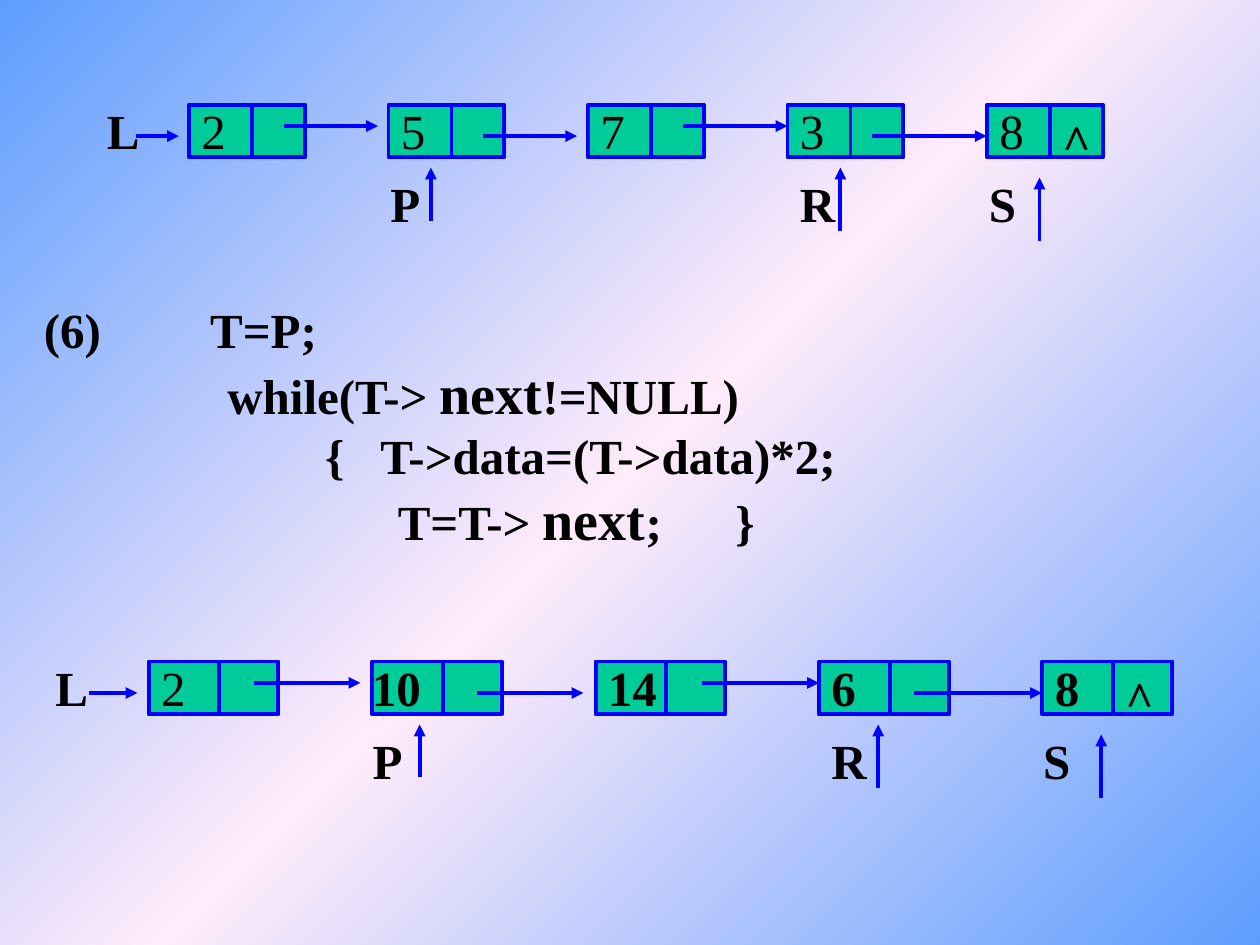
from copy import deepcopy

from lxml import etree
from pptx import Presentation
from pptx.dml.color import RGBColor
from pptx.enum import shapes, text
from pptx.oxml.ns import qn
from pptx.util import Inches, Pt

BLUE = RGBColor(0x00, 0x00, 0xFF)
GREEN = RGBColor(0x00, 0xCC, 0x99)
BLACK = RGBColor(0x00, 0x00, 0x00)
SKY = RGBColor(0x5E, 0x9E, 0xFF)
PINK = RGBColor(0xFF, 0xEB, 0xFA)

FONT = "Times New Roman"
NODE_PITCH = 4.75 / 3
FIRST_NODE = 1.5
NODE_WIDTH = 0.92
NODE_HEIGHT = 0.42
DATA_WIDTH = 0.5

CODE = [
    [("(6)\tT=P;", 28)],
    [("               while(T-> ", 28), ("next", 32), ("!=NULL)", 28)],
    [("                       {   T->data=(T->data)*2;", 28)],
    [("                             T=T-> ", 28), ("next", 32), (";      }", 28)],
]
LINKS = [
    (1.08, 1.42, 0.25),
    (2.25, 3, 0.17),
    (3.83, 4.58, 0.25),
    (5.42, 6.25, 0.17),
    (6.92, 7.83, 0.25),
]
POINTERS = [
    ("P", 3, 3.42, 0.5, 0.92),
    ("R", 6.25, 6.67, 0.5, 1),
    ("S", 7.75, 8.25, 0.58, 1.08),
]


def paint_background(page):
    fill = page.background.fill
    fill.gradient()
    fill.gradient_angle = 135
    stop_list = next(page.element.iter(qn("a:gsLst")))
    stop_list.insert(1, deepcopy(stop_list[0]))
    for stop, position, color in zip(fill.gradient_stops, (0, 0.5, 1), (SKY, PINK, SKY)):
        stop.position = position
        stop.color.rgb = color


def add_span(para, words, size=28, bold=True):
    span = para.add_run()
    span.text = words
    span.font.name = FONT
    span.font.size = Pt(size)
    span.font.bold = bold
    span.font.color.rgb = BLACK


def add_text_box(page, left, top, width, height):
    box = page.shapes.add_textbox(Inches(left), Inches(top), Inches(width), Inches(height))
    box.text_frame.word_wrap = True
    box.text_frame.auto_size = text.MSO_AUTO_SIZE.NONE
    return box.text_frame


def add_label(page, words, left, top, bold=True):
    frame = add_text_box(page, left, top, 0.75, 0.57)
    add_span(frame.paragraphs[0], words, bold=bold)


def add_line(page, start, end, arrow=False):
    line = page.shapes.add_connector(
        shapes.MSO_CONNECTOR.STRAIGHT, *(Inches(value) for value in (*start, *end))
    )
    line.line.color.rgb = BLUE
    line.line.width = Pt(2.25)
    if arrow:
        etree.SubElement(line.line._get_or_add_ln(), qn("a:tailEnd"), type="triangle")
    etree.SubElement(line.element.spPr, qn("a:effectLst"))


def add_node(page, left, top, width, divider):
    node = page.shapes.add_shape(
        shapes.MSO_SHAPE.RECTANGLE,
        Inches(left), Inches(top), Inches(width), Inches(NODE_HEIGHT),
    )
    node.shadow.inherit = False
    node.fill.solid()
    node.fill.fore_color.rgb = GREEN
    node.line.color.rgb = BLUE
    node.line.width = Pt(2.25)
    add_line(page, (divider, top), (divider, top + NODE_HEIGHT))


def add_linked_list(page, values, top, scale=1.0, shift=0.0):
    def across(position):
        return position * scale + shift

    for index, (value, bold) in enumerate(values):
        left = FIRST_NODE + index * NODE_PITCH
        divider = across(left + DATA_WIDTH)
        add_node(page, across(left), top, NODE_WIDTH * scale, divider)
        nudge = 0.1 if value == "10" else 0
        add_label(page, value, across(left) - nudge, top - 0.08, bold)
    add_label(page, "^", divider, top)
    add_label(page, "L", across(0.75), top - 0.08)

    for start, end, drop in LINKS:
        add_line(page, (across(start), top + drop), (across(end), top + drop), arrow=True)
    for name, left, tip, head, tail in POINTERS:
        add_label(page, name, across(left), top + 0.5)
        add_line(page, (across(tip), top + tail), (across(tip), top + head), arrow=True)


def add_code(page):
    frame = add_text_box(page, 0.25, 2.33, 8.75, 2.1)
    for index, spans in enumerate(CODE):
        para = frame.add_paragraph() if index else frame.paragraphs[0]
        if not index:
            tabs = etree.SubElement(para._p.get_or_add_pPr(), qn("a:tabLst"))
            etree.SubElement(tabs, qn("a:tab"), pos=str(Inches(1.32)), algn="l")
        for words, size in spans:
            add_span(para, words, size)


def main():
    deck = Presentation()
    deck.slide_width = Inches(10)
    deck.slide_height = Inches(7.5)
    page = deck.slides.add_slide(deck.slide_layouts[6])
    paint_background(page)
    add_code(page)
    before = [(value, False) for value in "25738"]
    after = [("2", False)] + [(value, True) for value in ("10", "14", "6", "8")]
    add_linked_list(page, before, 0.83)
    add_linked_list(page, after, 5.25, scale=1.12, shift=-0.5)
    deck.save("out.pptx")


if __name__ == "__main__":
    main()
